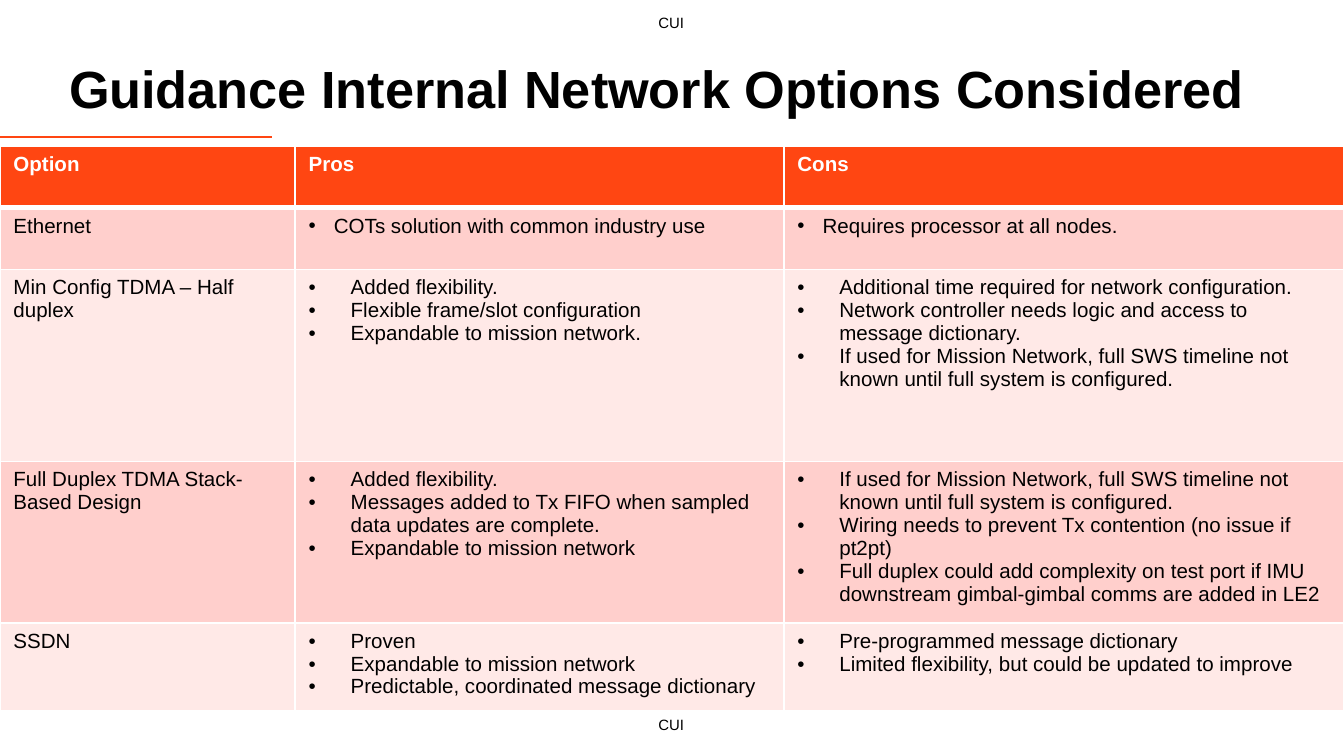
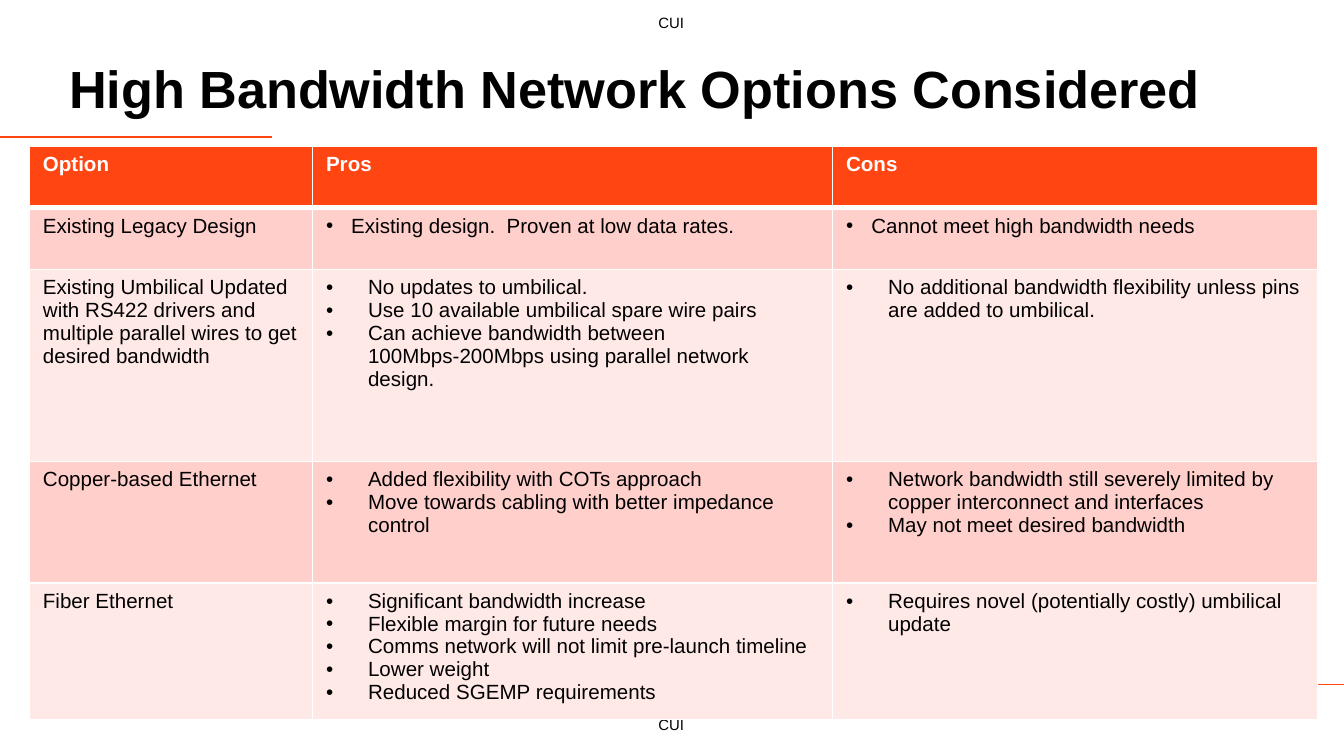
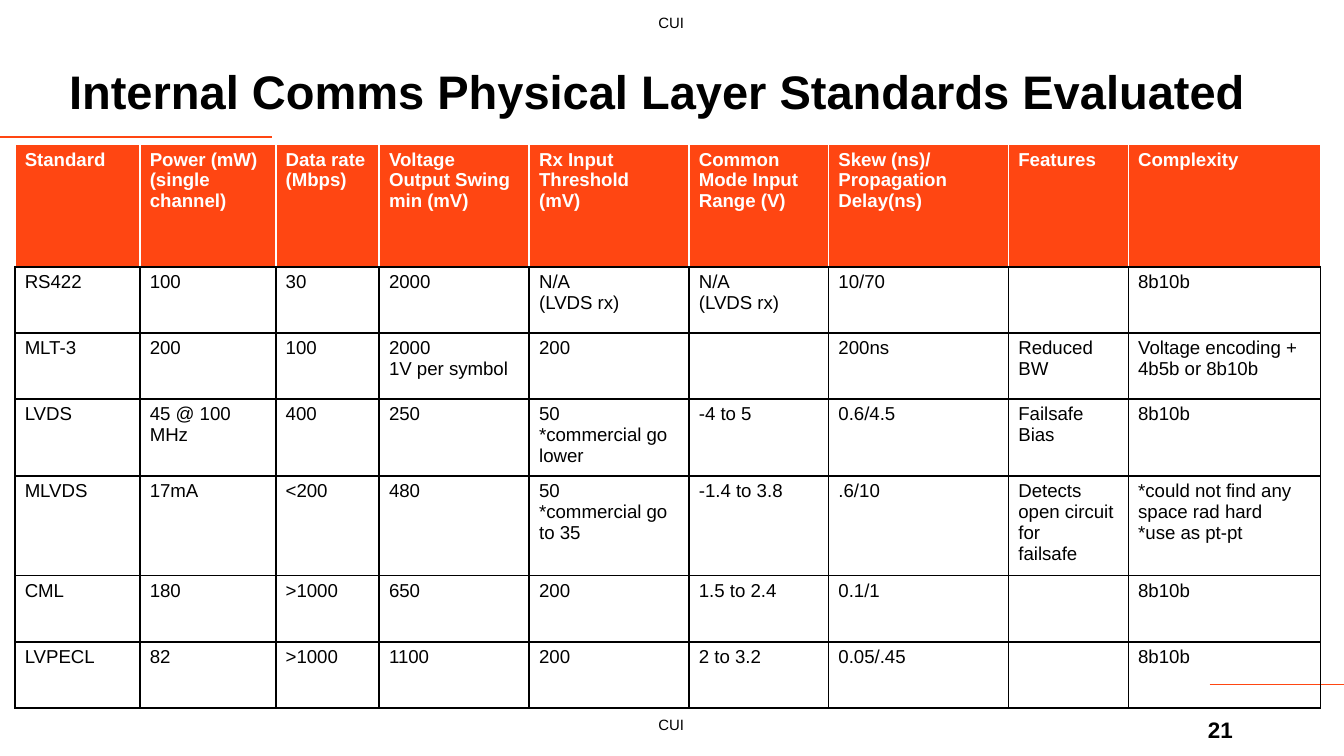
from itertools import product

from lxml.etree import SubElement
from pptx import Presentation
from pptx.dml.color import RGBColor
from pptx.enum.shapes import MSO_CONNECTOR
from pptx.enum.text import MSO_ANCHOR, MSO_AUTO_SIZE, PP_ALIGN
from pptx.oxml.ns import qn
from pptx.oxml.xmlchemy import OxmlElement
from pptx.util import Pt

SLIDE_BOX = (0, 0, 720, 405)
TITLE_BOX = (37, 20.2, 647, 52.6)
NUMBER_BOX = (640, 380.2, 36.7, 21.6)
ORANGE, WHITE, BLACK = "FF4612", "FFFFFF", "000000"
BANDS = ("FFCFCC", "FFE9E7")
FONT = "Arial"
MARKING = "CUI"

OPTION_HEADINGS = ["Option", "Pros", "Cons"]
OPTION_ROWS = [33, 33, 103, 65, 33]
GUIDANCE_OPTIONS = [
    ["Ethernet",
     ["COTs solution with common industry use"],
     ["Requires processor at all nodes."]],
    ["Min Config TDMA – Half duplex",
     ["Added flexibility.",
      "Flexible frame/slot configuration",
      "Expandable to mission network."],
     ["Additional time required for network configuration.",
      "Network controller needs logic and access to message dictionary.",
      "If used for Mission Network, full SWS timeline not known until full system is configured."]],
    ["Full Duplex TDMA Stack-Based Design",
     ["Added flexibility.",
      "Messages added to Tx FIFO when sampled data updates are complete.",
      "Expandable to mission network"],
     ["If used for Mission Network, full SWS timeline not known until full system is configured.",
      "Wiring needs to prevent Tx contention (no issue if pt2pt)",
      "Full duplex could add complexity on test port if IMU downstream gimbal-gimbal comms "
      "are added in LE2"]],
    ["SSDN",
     ["Proven",
      "Expandable to mission network",
      "Predictable, coordinated message dictionary"],
     ["Pre-programmed message dictionary",
      "Limited flexibility, but could be updated to improve"]],
]
BANDWIDTH_OPTIONS = [
    ["Existing Legacy Design",
     ["Existing design.  Proven at low data rates."],
     ["Cannot meet high bandwidth needs"]],
    ["Existing Umbilical Updated with RS422 drivers and multiple parallel wires "
     "to get desired bandwidth",
     ["No updates to umbilical.",
      "Use 10 available umbilical spare wire pairs",
      "Can achieve bandwidth between 100Mbps-200Mbps using parallel network design."],
     ["No additional bandwidth flexibility unless pins are added to umbilical."]],
    ["Copper-based Ethernet",
     ["Added flexibility with COTs approach",
      "Move towards cabling with better impedance control"],
     ["Network bandwidth still severely limited by copper interconnect and interfaces",
      "May not meet desired bandwidth"]],
    ["Fiber Ethernet",
     ["Significant bandwidth increase",
      "Flexible margin for future needs",
      "Comms network will not limit pre-launch timeline",
      "Lower weight",
      "Reduced SGEMP requirements"],
     ["Requires novel (potentially costly) umbilical update"]],
]

STANDARD_COLUMNS = [67, 72.8, 55.4, 80.4, 85.6, 74.8, 96.4, 64.2, 103]
STANDARD_ROWS = [65.5, 35.5, 35.5, 39.5, 51, 35.5, 35.5]
STANDARDS = [
    ["Standard", "Power (mW)\n(single channel)", "Data rate\n(Mbps)",
     "Voltage\nOutput Swing min (mV)", "Rx Input Threshold\n(mV)",
     "Common Mode Input Range (V)", "Skew (ns)/\nPropagation\nDelay(ns)",
     "Features", "Complexity"],
    ["RS422", "100", "30", "2000", "N/A\n(LVDS rx)", "N/A\n(LVDS rx)", "10/70", "", "8b10b"],
    ["MLT-3", "200", "100", "2000\n1V per symbol", "200", "", "200ns", "Reduced BW",
     "Voltage encoding + 4b5b or 8b10b"],
    ["LVDS", "45 @ 100 MHz", "400", "250", "50\n*commercial go lower", "-4 to 5",
     "0.6/4.5", "Failsafe Bias", "8b10b"],
    ["MLVDS", "17mA", "<200", "480", "50\n*commercial go to 35", "-1.4 to 3.8", ".6/10",
     "Detects open circuit for\nfailsafe",
     "*could not find any space rad hard\n*use as pt-pt"],
    ["CML", "180", ">1000", "650", "200", "1.5 to 2.4", "0.1/1", "", "8b10b"],
    ["LVPECL", "82", ">1000", "1100", "200", "2 to 3.2", "0.05/.45", "", "8b10b"],
]


def rgb(value):
    """Turn a hex string into a colour."""
    return RGBColor.from_string(value)


def assign(target, values):
    """Set each attribute in a dict of format values."""
    for attribute, value in values.items():
        setattr(target, attribute, value)


def margins(left, top, right, bottom):
    """Return text margins as format values."""
    return dict(margin_left=Pt(left), margin_top=Pt(top),
                margin_right=Pt(right), margin_bottom=Pt(bottom))


def write(frame, lines, size, color=BLACK, bold=False, **paragraph_format):
    """Write one paragraph per line, sized up to its end mark, and return them."""
    frame.text = "\n".join(lines)
    for paragraph in frame.paragraphs:
        assign(paragraph, paragraph_format)
        for run in paragraph.runs:
            assign(run.font, dict(name=FONT, size=Pt(size), bold=bold))
            run.font.color.rgb = rgb(color)
        SubElement(paragraph._p, qn("a:endParaRPr"), sz=str(round(size * 100)))
    return frame.paragraphs


def add_bullet(paragraph, indent):
    """Hang a round bullet in the indent of a paragraph."""
    properties = paragraph._p.get_or_add_pPr()
    properties.set("marL", str(Pt(indent)))
    properties.set("indent", str(-Pt(indent)))
    SubElement(properties, qn("a:buFont"), typeface=FONT)
    SubElement(properties, qn("a:buChar"), char="•")


def set_borders(cell, sides):
    """Draw cell borders from a dict of side to colour and width."""
    properties = cell._tc.get_or_add_tcPr()
    for position, side in enumerate("LRTB"):
        color, width = sides[side]
        border = OxmlElement(f"a:ln{side}")
        border.set("w", str(Pt(width)))
        SubElement(SubElement(border, qn("a:solidFill")), qn("a:srgbClr"), val=color)
        properties.insert(position, border)


def add_rule(slide, start, end, y):
    """Draw a thin orange horizontal rule."""
    rule = slide.shapes.add_connector(MSO_CONNECTOR.STRAIGHT, Pt(start), Pt(y), Pt(end), Pt(y))
    rule.line.color.rgb = rgb(ORANGE)
    rule.line.width = Pt(1)
    SubElement(rule._element.spPr, qn("a:effectLst"))


def add_frame(slide, box):
    """Place the markings and rules along the edges of the slide box."""
    left, top, width, height = box
    for y in (top + 4, top + height - 25.2):
        marking = slide.shapes.add_textbox(
            Pt(left + width / 2 - 14.4), Pt(y), Pt(28), Pt(17.3)).text_frame
        assign(marking, dict(word_wrap=False, auto_size=MSO_AUTO_SIZE.SHAPE_TO_FIT_TEXT))
        write(marking, [MARKING], 8, alignment=PP_ALIGN.CENTER)
    add_rule(slide, left, left + 145.5, top + 73.4)
    add_rule(slide, left + width - 72, left + width, top + 366.7)


def add_title(slide, box, title, size):
    """Move the title placeholder to its box and format it."""
    heading = slide.shapes.title
    assign(heading, dict(zip(("left", "top", "width", "height"), map(Pt, box))))
    assign(heading.text_frame, dict(
        word_wrap=True, auto_size=MSO_AUTO_SIZE.NONE, vertical_anchor=MSO_ANCHOR.MIDDLE,
        **margins(0, 3.6, 7.2, 3.6)))
    write(heading.text_frame, [title], size, bold=True,
          alignment=PP_ALIGN.LEFT, line_spacing=Pt(34))


def add_number(slide, box, number):
    """Write the slide number in its box."""
    frame = slide.shapes.add_textbox(*map(Pt, box)).text_frame
    assign(frame, dict(word_wrap=True, **margins(7.2, 3.6, 7.2, 0)))
    write(frame, [number], 12, bold=True)


def add_grid(slide, corner, widths, heights):
    """Add an unbanded table at a corner with given columns and rows."""
    table = slide.shapes.add_table(
        len(heights), len(widths), *map(Pt, (*corner, sum(widths), sum(heights)))).table
    table.horz_banding = False
    for column, width in zip(table.columns, widths):
        column.width = Pt(width)
    for row, height in zip(table.rows, heights):
        row.height = Pt(height)
    return table


def add_options(slide, corner, widths, options):
    """Fill a banded table of options with bulleted pros and cons."""
    table = add_grid(slide, corner, widths, OPTION_ROWS)
    thin, thick = (WHITE, 1), (WHITE, 3)
    for row, column in product(range(len(OPTION_ROWS)), range(len(widths))):
        cell = table.cell(row, column)
        header = row == 0
        content = OPTION_HEADINGS[column] if header else options[row - 1][column]
        bulleted = isinstance(content, list)
        paragraphs = write(cell.text_frame, content if bulleted else [content], 11,
                           WHITE if header else BLACK, header)
        if bulleted:
            for paragraph in paragraphs:
                add_bullet(paragraph, 13.5 if row == 1 else 22.5)
        set_borders(cell, dict(L=thin, R=thin, T=thick if row == 1 else thin,
                               B=thick if header else thin))
        cell.fill.solid()
        cell.fill.fore_color.rgb = rgb(ORANGE if header else BANDS[(row - 1) % 2])


def add_standards(slide, corner):
    """Fill a ruled table that compares the physical layer standards."""
    table = add_grid(slide, corner, STANDARD_COLUMNS, STANDARD_ROWS)
    for row, contents in enumerate(STANDARDS):
        header = row == 0
        edge = (WHITE if header else BLACK, 1)
        for column, content in enumerate(contents):
            cell = table.cell(row, column)
            assign(cell, margins(5.3, 2.6, 5.3, 2.6))
            write(cell.text_frame, content.split("\n"), 10, edge[0], header)
            set_borders(cell, dict(L=edge, R=edge, T=edge, B=(BLACK, 1)))
            if header:
                cell.fill.solid()
                cell.fill.fore_color.rgb = rgb(ORANGE)
            else:
                cell.fill.background()


def add_page(presentation, title, size=28):
    """Add a slide with the shared frame and title."""
    slide = presentation.slides.add_slide(presentation.slide_layouts[5])
    add_frame(slide, SLIDE_BOX)
    add_title(slide, TITLE_BOX, title, size)
    return slide


def main():
    """Build the three slides and save them."""
    presentation = Presentation()
    presentation.slide_width, presentation.slide_height = map(Pt, SLIDE_BOX[2:])

    guidance = add_page(presentation, "Guidance Internal Network Options Considered")
    add_options(guidance, (0, 78.3), [158.2, 261.8, 300], GUIDANCE_OPTIONS)

    bandwidth = add_page(presentation, "High Bandwidth Network Options Considered")
    add_options(bandwidth, (15.8, 78.3), [151.7, 278.6, 259.7], BANDWIDTH_OPTIONS)

    standards = add_page(presentation, "Internal Comms Physical Layer Standards Evaluated", 25.2)
    add_number(standards, NUMBER_BOX, "21")
    add_standards(standards, (8, 77.4))

    presentation.save("out.pptx")


if __name__ == "__main__":
    main()
